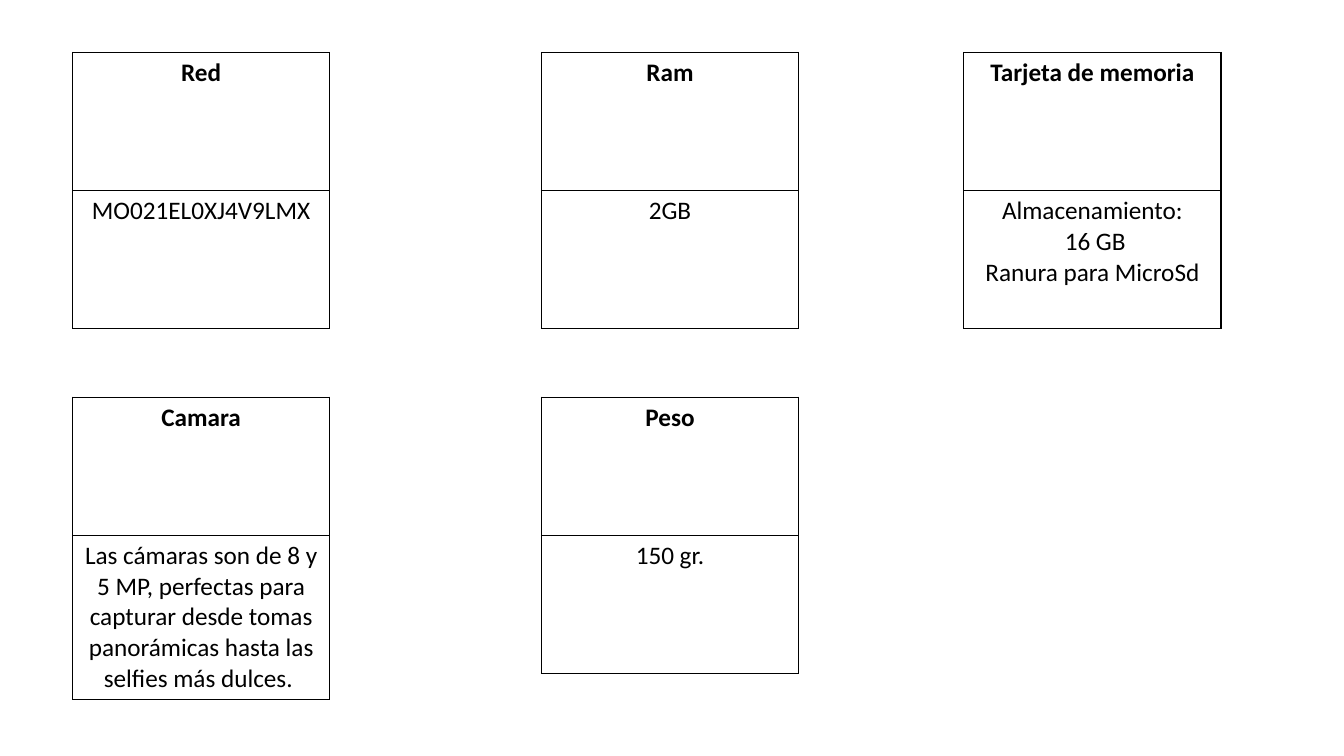
"""Build a slide of phone specification cards, each a two-row table."""
from lxml.etree import SubElement
from pptx import Presentation
from pptx.dml.color import RGBColor
from pptx.enum.text import PP_ALIGN
from pptx.oxml.ns import qn
from pptx.util import Inches, Pt

BLACK = RGBColor(0x00, 0x00, 0x00)
WHITE = RGBColor(0xFF, 0xFF, 0xFF)
FONT = "Calibri"
COLUMN_LEFTS = (0.72, 5.37, 9.56)
ROW_TOPS = (0.52, 3.94)
CARD_WIDTH = 2.55
CELL_HEIGHT = 1.37
SPECIFICATIONS = (
    ("Red", "MO021EL0XJ4V9LMX"),
    ("Ram", "2GB"),
    ("Tarjeta de memoria", "Almacenamiento:\n 16 GB\nRanura para MicroSd"),
    ("Camara", "Las cámaras son de\u00a08 y 5 MP,\u00a0perfectas para capturar "
               "desde tomas panorámicas hasta las selfies más dulces.\u00a0"),
    ("Peso", "150 gr."),
)


def write_text(text_frame, text, size=18, bold=False, color=BLACK,
               alignment=PP_ALIGN.CENTER):
    """Write one paragraph per line of text in the given format."""
    text_frame.text = text
    for paragraph in text_frame.paragraphs:
        paragraph.alignment = alignment
        for run in paragraph.runs:
            run.font.name = FONT
            run.font.size = Pt(size)
            run.font.bold = bold
            run.font.color.rgb = color


def set_borders(cell, color=BLACK, width=1):
    """Draw a solid line on all four sides of a cell."""
    properties = cell._tc.get_or_add_tcPr()
    for side in ("a:lnL", "a:lnR", "a:lnT", "a:lnB"):
        line = SubElement(properties, qn(side), w=str(Pt(width)))
        fill = SubElement(line, qn("a:solidFill"))
        SubElement(fill, qn("a:srgbClr"), val=str(color))


def add_card(slide, left, top, title, detail):
    """Add a table with a bold title above its detail."""
    frame = slide.shapes.add_table(2, 1, Inches(left), Inches(top),
                                   Inches(CARD_WIDTH), Inches(2 * CELL_HEIGHT))
    table = frame.table
    table.first_row = False
    table.horz_banding = False
    for row, text in enumerate((title, detail)):
        table.rows[row].height = Inches(CELL_HEIGHT)
        cell = table.cell(row, 0)
        write_text(cell.text_frame, text, bold=row == 0)
        set_borders(cell)
        cell.fill.solid()
        cell.fill.fore_color.rgb = WHITE


def main():
    """Lay the cards out row by row and save the presentation."""
    presentation = Presentation()
    presentation.slide_width = Inches(13.33)
    presentation.slide_height = Inches(7.5)
    slide = presentation.slides.add_slide(presentation.slide_layouts[6])
    for index, (title, detail) in enumerate(SPECIFICATIONS):
        row, column = divmod(index, len(COLUMN_LEFTS))
        add_card(slide, COLUMN_LEFTS[column], ROW_TOPS[row], title, detail)
    presentation.save("out.pptx")


main()
